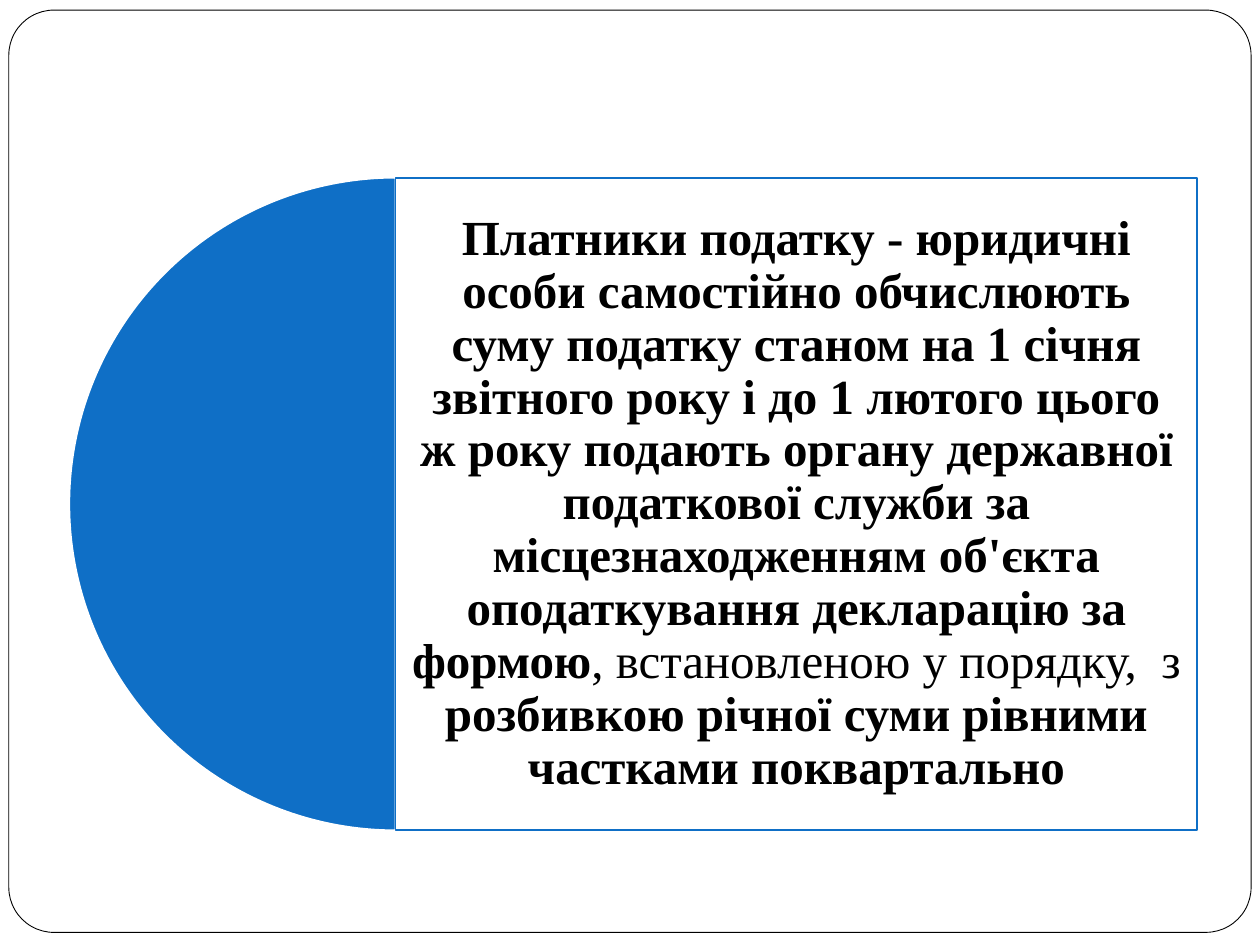
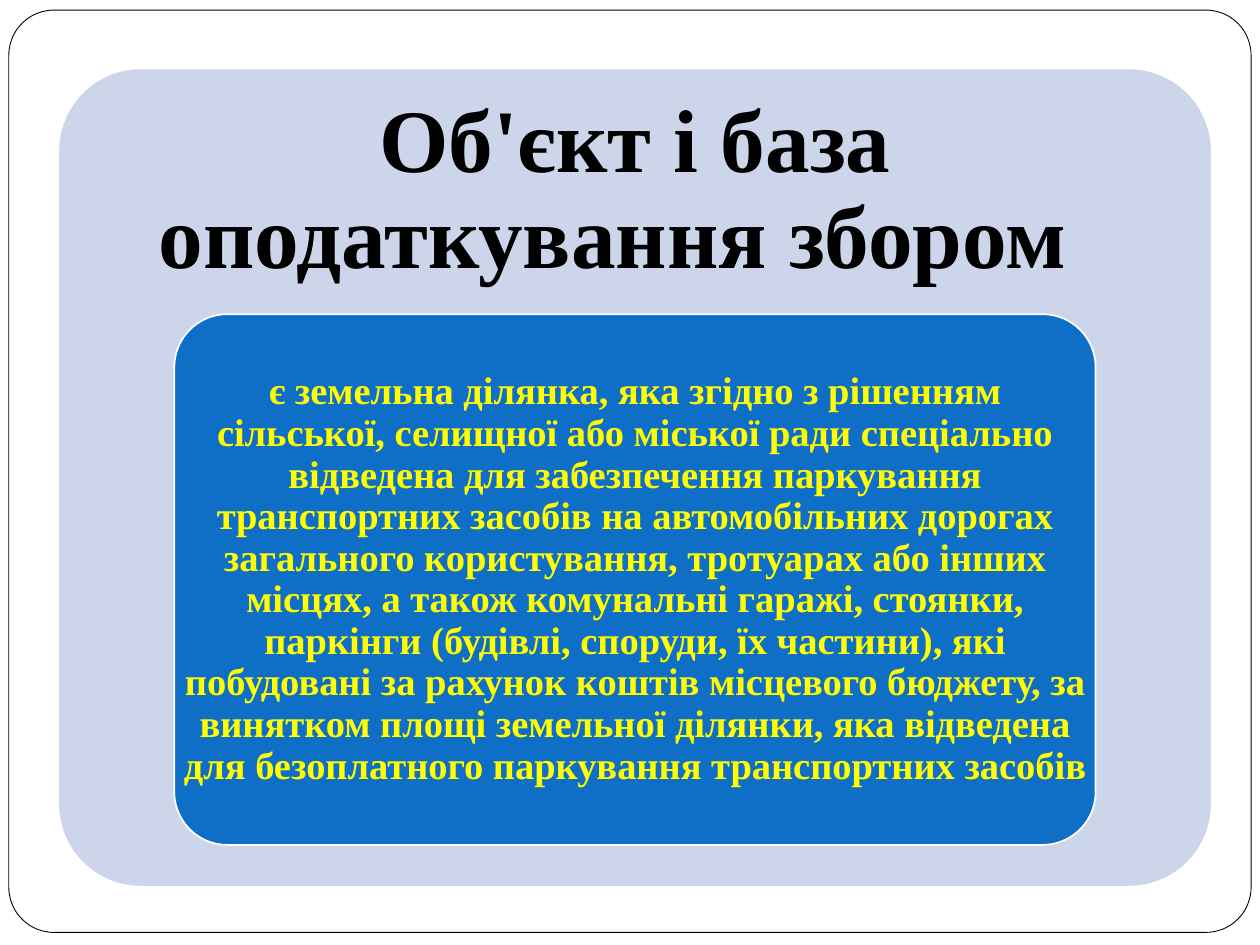
from pptx import Presentation
from pptx.dml.color import RGBColor
from pptx.enum.shapes import MSO_SHAPE as Shape
from pptx.enum.text import MSO_ANCHOR as Anchor, PP_ALIGN as Align
from pptx.util import Inches, Pt

# Content: runs are (text, bold)
DECLARATION = [
    ("Платники податку - юридичні особи самостійно обчислюють суму податку "
     "станом на 1 січня звітного року і до 1 лютого цього ж року подають "
     "органу державної податкової служби за місцезнаходженням об'єкта "
     "оподаткування декларацію за формою", True),
    (", встановленою у порядку,  з ", False),
    ("розбивкою річної суми рівними частками поквартально", True),
]
BASE_TITLE = [("Об'єкт і база оподаткування збором  ", True)]
BASE_TEXT = [
    ("є земельна ділянка, яка згідно з рішенням сільської, селищної або "
     "міської ради спеціально відведена для забезпечення паркування "
     "транспортних засобів на автомобільних дорогах загального користування, "
     "тротуарах або інших місцях, а також комунальні гаражі, стоянки, "
     "паркінги (будівлі, споруди, їх частини), які побудовані за рахунок "
     "коштів місцевого бюджету, за винятком площі земельної ділянки, яка "
     "відведена для безоплатного паркування транспортних засобів", True),
]

# Shared style
WIDTH, HEIGHT = 10, 7.5
FONT = "Times New Roman"
BLACK = RGBColor(0x00, 0x00, 0x00)
WHITE = RGBColor(0xFF, 0xFF, 0xFF)
BLUE = RGBColor(0x0F, 0x6F, 0xC6)
PALE = RGBColor(0xCC, 0xD5, 0xEA)
YELLOW = RGBColor(0xFF, 0xFF, 0x00)


def add_box(s, kind, at, fill, line=None, weight=1, adjust=()):
    sp = s.shapes.add_shape(kind, *map(Inches, at))
    sp.shadow.inherit = False
    sp.fill.solid()
    sp.fill.fore_color.rgb = fill
    if line is None:
        sp.line.fill.background()
    else:
        sp.line.color.rgb = line
        sp.line.width = Pt(weight)
    for i, value in enumerate(adjust):
        sp.adjustments[i] = value


def add_text(s, at, runs, size, color, inset_x, inset_y):
    tf = s.shapes.add_textbox(*map(Inches, at)).text_frame
    tf.word_wrap = True
    tf.vertical_anchor = Anchor.MIDDLE
    tf.margin_left = tf.margin_right = Inches(inset_x)
    tf.margin_top = tf.margin_bottom = Inches(inset_y)
    p = tf.paragraphs[0]
    p.alignment = Align.CENTER
    p.line_spacing = 0.9
    p.font.name, p.font.size = FONT, Pt(size)
    p.font.color.rgb = color
    for text, bold in runs:
        r = p.add_run()
        r.text = text
        r.font.bold = bold


def add_slide(prs):
    s = prs.slides.add_slide(prs.slide_layouts[6])
    frame = (0.07, 0.08, WIDTH - 0.14, HEIGHT - 0.18)
    add_box(s, Shape.ROUNDED_RECTANGLE, frame, WHITE, BLACK, 0.5, [0.049])
    return s


def declaration_slide(prs):
    s = add_slide(prs)
    left, top, diameter = 0.55, 1.41, 5.18
    middle = left + diameter / 2
    panel = (middle, top, WIDTH - 0.5 - middle, diameter)
    # Left half of a disc: 90 to 270 degrees, in units of 100000
    add_box(s, Shape.PIE, (left, top, diameter, diameter), BLUE, WHITE,
            adjust=[54, 162])
    add_box(s, Shape.RECTANGLE, panel, WHITE, BLUE)
    add_text(s, panel, DECLARATION, 28, BLACK, 0.12, 0.12)


def base_slide(prs):
    s = add_slide(prs)
    left, top, width, height = 0.47, 0.55, 9.14, 6.48
    title_height = height * 0.3
    card = (left + width * 0.1, top + title_height, width * 0.8, height * 0.65)
    add_box(s, Shape.ROUNDED_RECTANGLE, (left, top, width, height), PALE,
            adjust=[0.1])
    add_text(s, (left, top, width, title_height), BASE_TITLE, 51, BLACK,
             0.21, 0.21)
    add_box(s, Shape.ROUNDED_RECTANGLE, card, BLUE, WHITE, adjust=[0.1])
    add_text(s, card, BASE_TEXT, 22, YELLOW, 0.06, 0.05)


def main():
    prs = Presentation()
    prs.slide_width, prs.slide_height = Inches(WIDTH), Inches(HEIGHT)
    declaration_slide(prs)
    base_slide(prs)
    prs.save("out.pptx")


if __name__ == "__main__":
    main()
